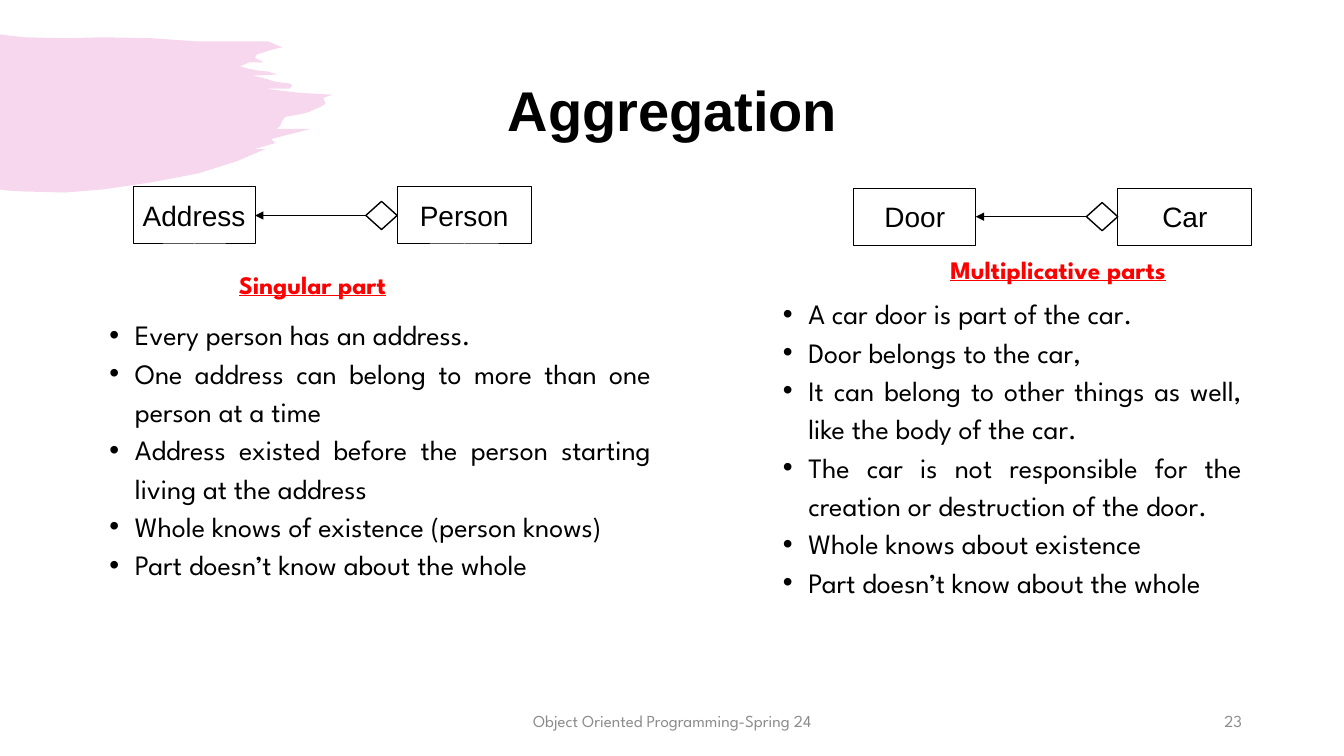
from pptx import Presentation
from pptx.dml.color import RGBColor
from pptx.enum.shapes import MSO_CONNECTOR, MSO_SHAPE
from pptx.enum.text import MSO_ANCHOR, PP_ALIGN
from pptx.oxml.ns import qn
from pptx.util import Cm, Pt
from lxml.etree import SubElement

BLACK = RGBColor(0x00, 0x00, 0x00)
WHITE = RGBColor(0xFF, 0xFF, 0xFF)
RED = RGBColor(0xFF, 0x00, 0x00)
GREY = RGBColor(0x8C, 0x8C, 0x8C)
PINK = RGBColor(0xD7, 0x39, 0xAE)
SANS = "Arial"
SPARTAN = "League Spartan"

# Outline of the brush stroke, in hundredths of an inch
STROKE_UNIT = Cm(2.54) / 100
STROKE = [
    (0, 34), (6, 35), (25, 37), (66, 38), (102, 37), (151, 38), (194, 41),
    (248, 41), (266, 41), (280, 47), (271, 49), (255, 54), (253, 57),
    (256, 59), (262, 62), (247, 62), (238, 66), (246, 68), (256, 70),
    (266, 71), (275, 74), (251, 75), (263, 78), (273, 81), (280, 82),
    (288, 83), (290, 85), (287, 88), (284, 88), (263, 88), (296, 92),
    (330, 94), (321, 97), (323, 103), (318, 106), (307, 111), (300, 113),
    (283, 116), (280, 120), (278, 125), (274, 128), (308, 128), (269, 138),
    (273, 142), (252, 148), (263, 148), (235, 160), (197, 172), (150, 181),
    (102, 188), (65, 191), (23, 190), (7, 189), (0, 188),
]

SINGULAR_POINTS = [
    "Every person has an address.",
    "One address can belong to more than one person at a time",
    "Address existed before the person starting living at the address",
    "Whole knows of existence (person knows)",
    "Part doesn’t know about the whole",
]
MULTIPLE_POINTS = [
    "A car door is part of the car.",
    "Door belongs to the car,",
    "It can belong to other things as well, like the body of the car.",
    "The car is not responsible for the creation or destruction of the door.",
    "Whole knows about existence",
    "Part doesn’t know about the whole",
]


def style(paragraph, face, size, color, align=PP_ALIGN.LEFT, bold=False):
    paragraph.alignment = align
    font = paragraph.font
    font.name, font.size, font.bold = face, Pt(size), bold
    font.color.rgb = color


def add_text(slide, box, text, face, size, color, align=PP_ALIGN.LEFT,
             bold=False, wrap=True):
    frame = slide.shapes.add_textbox(*map(Cm, box)).text_frame
    frame.word_wrap = wrap
    frame.vertical_anchor = MSO_ANCHOR.MIDDLE
    frame.text = text
    style(frame.paragraphs[0], face, size, color, align, bold)
    return frame


def add_brush_stroke(slide):
    builder = slide.shapes.build_freeform(*STROKE[0], scale=STROKE_UNIT)
    builder.add_line_segments(STROKE[1:], close=True)
    stroke = builder.convert_to_shape()
    stroke.shadow.inherit = False
    stroke.fill.solid()
    stroke.fill.fore_color.rgb = PINK
    stroke.line.fill.background()
    pink = stroke._element.spPr.find(".//" + qn("a:srgbClr"))
    SubElement(pink, qn("a:alpha"), val="20000")


def add_heading(slide, box, text):
    heading = add_text(slide, box, text, SPARTAN, 18, RED, bold=True, wrap=False)
    heading.paragraphs[0].font.underline = True


def add_bullets(slide, box, points):
    frame = slide.shapes.add_textbox(*map(Cm, box)).text_frame
    frame.word_wrap = True
    frame.text = "\n".join(points)
    for paragraph in frame.paragraphs:
        properties = paragraph._p.get_or_add_pPr()
        properties.set("marL", str(Cm(0.64)))
        properties.set("indent", str(-Cm(0.64)))
        SubElement(properties, qn("a:buFont"), typeface=SANS)
        SubElement(properties, qn("a:buChar"), char="•")
        paragraph.line_spacing = 1.14
        style(paragraph, SPARTAN, 20, BLACK, PP_ALIGN.JUSTIFY)


def add_outlined(slide, kind, box, weight):
    shape = slide.shapes.add_shape(kind, *map(Cm, box))
    shape.shadow.inherit = False
    shape.fill.background()
    shape.line.color.rgb = BLACK
    shape.line.width = Pt(weight)
    return shape


def add_class(slide, box, name):
    class_box = add_outlined(slide, MSO_SHAPE.RECTANGLE, box, 0.75)
    frame = class_box.text_frame
    frame.word_wrap = False
    frame.vertical_anchor = MSO_ANCHOR.MIDDLE
    frame.text = name
    style(frame.paragraphs[0], SANS, 20, BLACK, PP_ALIGN.CENTER)
    return class_box


def add_aggregation(slide, box, part_name, whole_name):
    """Draw the part on the left, joined to the whole by a diamond and arrow."""
    left, top, width, height = box
    part_width, whole_width = 3.07, 3.38
    diamond_width, diamond_height = 0.79, 0.71
    whole_left = left + width - whole_width

    part = add_class(slide, (left, top, part_width, height), part_name)
    add_class(slide, (whole_left, top, whole_width, height), whole_name)
    diamond = add_outlined(
        slide, MSO_SHAPE.DIAMOND,
        (whole_left - diamond_width, top + (height - diamond_height) / 2,
         diamond_width, diamond_height), 1)
    diamond.fill.solid()
    diamond.fill.fore_color.rgb = WHITE

    arrow = slide.shapes.add_connector(MSO_CONNECTOR.STRAIGHT, 0, 0, 0, 0)
    arrow.begin_connect(diamond, 1)
    arrow.end_connect(part, 3)
    arrow.line.color.rgb = BLACK
    arrow.line.width = Pt(0.75)
    SubElement(arrow.line._get_or_add_ln(), qn("a:tailEnd"), type="triangle")
    SubElement(arrow._element.spPr, qn("a:effectLst"))


def add_footer(slide, top, height):
    add_text(slide, (11.23, top, 11.43, height),
             "Object Oriented Programming-Spring 24", SPARTAN, 12, GREY,
             PP_ALIGN.CENTER)
    add_text(slide, (23.93, top, 7.62, height), "23", SPARTAN, 12, GREY,
             PP_ALIGN.RIGHT)


def main():
    deck = Presentation()
    deck.slide_width, deck.slide_height = Cm(33.87), Cm(19.05)
    slide = deck.slides.add_slide(deck.slide_layouts[6])

    add_brush_stroke(slide)
    title = add_text(slide, (2.34, 1.02, 29.21, 3.68), "Aggregation", SANS, 40,
                     BLACK, PP_ALIGN.CENTER, bold=True)
    title.paragraphs[0].line_spacing = 0.9

    add_bullets(slide, (2.51, 7.77, 14.15, 8.99), SINGULAR_POINTS)
    add_bullets(slide, (19.48, 7.24, 12.07, 11.23), MULTIPLE_POINTS)
    add_aggregation(slide, (3.36, 4.71, 10.03, 1.44), "Address", "Person")
    add_aggregation(slide, (21.52, 4.74, 10.03, 1.44), "Door", "Car")
    add_heading(slide, (5.77, 6.65, 4.39, 1.02), "Singular part")
    add_heading(slide, (23.7, 6.27, 6.38, 1.02), "Multiplicative parts")
    add_footer(slide, 17.65, 1.02)

    deck.save("out.pptx")


if __name__ == "__main__":
    main()
